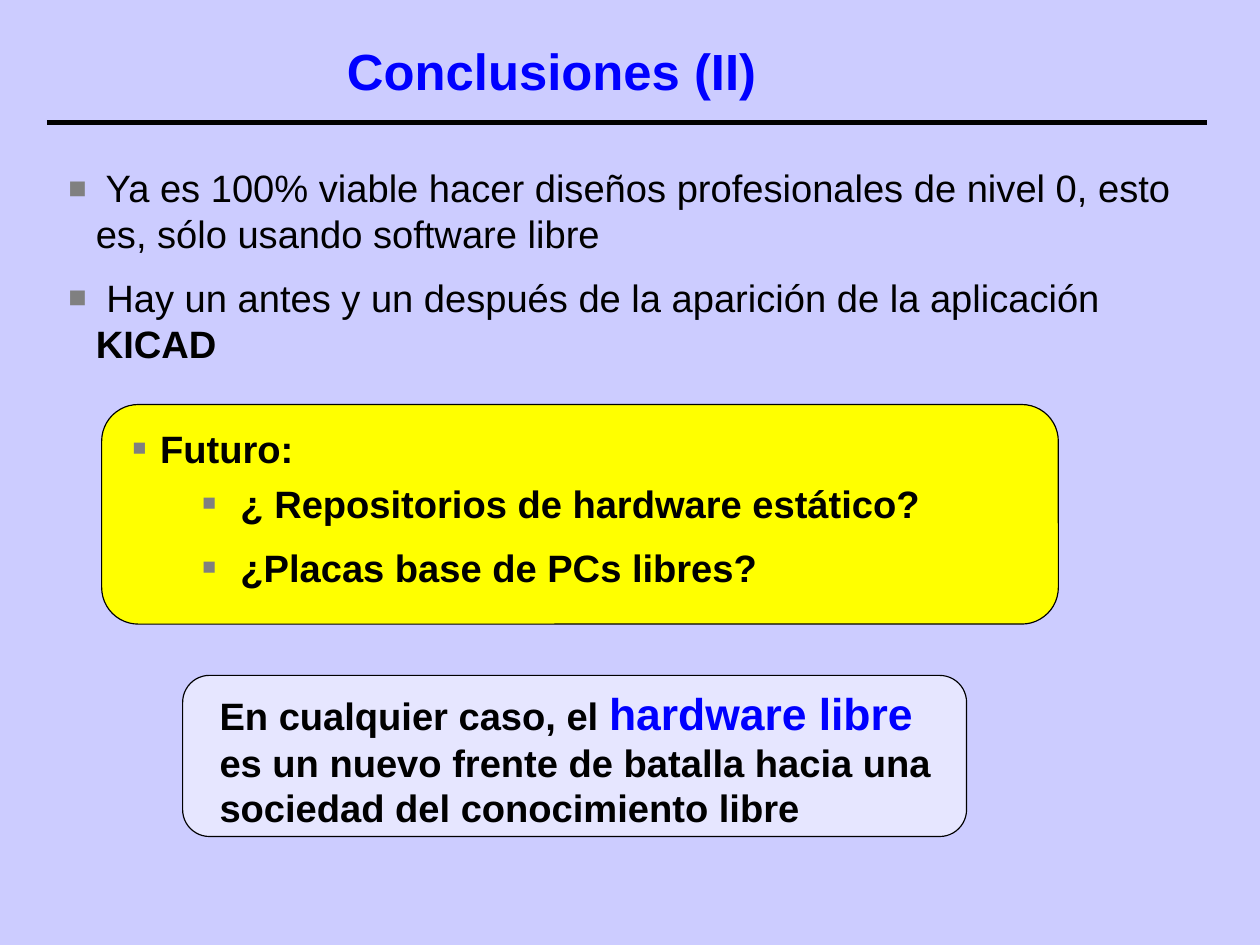
from dataclasses import dataclass
from lxml.etree import SubElement
from pptx import Presentation
from pptx.dml.color import RGBColor as Color
from pptx.enum.shapes import MSO_CONNECTOR as Connector, MSO_SHAPE as Shape
from pptx.enum.text import MSO_ANCHOR as Anchor, PP_ALIGN as Align
from pptx.oxml.ns import qn
from pptx.util import Cm, Pt


@dataclass(frozen=True)
class Theme:
    font: str = "Arial"
    background: str = "CCCCFF"
    ink: str = "000000"
    accent: str = "0000FF"
    bullet: str = "808080"
    future: str = "FFFF00"
    closing: str = "E6E6FF"
    title_size: int = 32
    large_size: int = 28
    text_size: int = 24
    title_spacing: int = 42
    item_gap: float = 5.7
    rule_width: float = 2.83


THEME = Theme()
BOLD = {"bold": True}
TITLE = {"bold": True, "size": THEME.title_size, "color": THEME.accent}
KEYWORD = {"bold": True, "size": THEME.large_size, "color": THEME.accent}

HEADING = [[("Conclusiones (II)", TITLE)]]
FINDINGS = [
    [(" Ya es 100% viable hacer diseños profesionales de nivel 0, esto es, sólo usando software libre", {})],
    [(" Hay un antes y un después de la aparición de la aplicación ", {}), ("KICAD", BOLD)],
]
FUTURE = [[("Futuro:", BOLD)]]
QUESTIONS = [
    [(" ¿ Repositorios de hardware estático?", BOLD)],
    [(" ¿Placas base de PCs libres?", BOLD)],
]
CLOSING = [[
    ("En cualquier caso, el ", BOLD),
    ("hardware libre", KEYWORD),
    (" es un nuevo frente de batalla hacia una sociedad del conocimiento libre", BOLD),
]]

PANELS = [
    ((2.26, 8.99, 21.26, 4.88), THEME.future),
    ((4.06, 15.01, 17.42, 3.58), THEME.closing),
]
TEXTS = [
    (HEADING, (1.47, 0, 21.59, 3), {"align": Align.CENTER, "anchor": Anchor.MIDDLE,
                                    "line_spacing": Pt(THEME.title_spacing)}),
    (FINDINGS, (1.52, 3.66, 24.82, 4.17), {"bullet_size": 80, "indent": 0.61}),
    (CLOSING, (4.88, 15.24, 16.43, 3), {}),
    (FUTURE, (2.54, 9.45, 18.95, 0.94), {"bullet_size": 60, "indent": 1.02}),
    (QUESTIONS, (4.09, 10.67, 21.77, 2.29), {"bullet_size": 60, "indent": 1.02}),
]
RULE = (1.04, 2.72, 26.82, 2.72)
HANGING = 0.61


def add_bullet(paragraph, size, indent):
    properties = paragraph._p.get_or_add_pPr()
    properties.set("marL", str(Cm(indent)))
    properties.set("indent", str(-Cm(HANGING)))
    color = SubElement(properties, qn("a:buClr"))
    SubElement(color, qn("a:srgbClr"), val=THEME.bullet)
    SubElement(properties, qn("a:buSzPct"), val=str(size * 1000))
    SubElement(properties, qn("a:buFont"), typeface=THEME.font)
    SubElement(properties, qn("a:buChar"), char="■")


def add_run(paragraph, text, size=THEME.text_size, color=THEME.ink, bold=False):
    run = paragraph.add_run()
    run.text = text
    run.font.name = THEME.font
    run.font.size = Pt(size)
    run.font.bold = bold
    run.font.color.rgb = Color.from_string(color)


def add_text(slide, paragraphs, box, align=Align.LEFT, anchor=Anchor.TOP,
             line_spacing=None, bullet_size=None, indent=0):
    frame = slide.shapes.add_textbox(*map(Cm, box)).text_frame
    frame.word_wrap = True
    frame.vertical_anchor = anchor
    frame.margin_left = frame.margin_right = frame.margin_top = frame.margin_bottom = 0
    for index, runs in enumerate(paragraphs):
        paragraph = frame.add_paragraph() if index else frame.paragraphs[0]
        paragraph.alignment = align
        paragraph.line_spacing = line_spacing
        if bullet_size:
            add_bullet(paragraph, bullet_size, indent)
            paragraph.space_before = Pt(THEME.item_gap if index else 0)
            paragraph.space_after = Pt(THEME.item_gap)
        for text, style in runs:
            add_run(paragraph, text, **style)


def add_panel(slide, box, fill):
    shape = slide.shapes.add_shape(Shape.ROUNDED_RECTANGLE, *map(Cm, box))
    shape.shadow.inherit = False
    shape.fill.solid()
    shape.fill.fore_color.rgb = Color.from_string(fill)
    shape.line.color.rgb = Color.from_string(THEME.ink)
    shape.line.width = Pt(0)


def add_rule(slide, ends):
    rule = slide.shapes.add_connector(Connector.STRAIGHT, *map(Cm, ends))
    rule.line.color.rgb = Color.from_string(THEME.ink)
    rule.line.width = Pt(THEME.rule_width)
    SubElement(rule._element.spPr, qn("a:effectLst"))


def main():
    presentation = Presentation()
    presentation.slide_width, presentation.slide_height = Cm(28), Cm(21)
    slide = presentation.slides.add_slide(presentation.slide_layouts[6])
    slide.background.fill.solid()
    slide.background.fill.fore_color.rgb = Color.from_string(THEME.background)
    for box, fill in PANELS:
        add_panel(slide, box, fill)
    add_rule(slide, RULE)
    for paragraphs, box, options in TEXTS:
        add_text(slide, paragraphs, box, **options)
    presentation.save("out.pptx")


if __name__ == "__main__":
    main()
